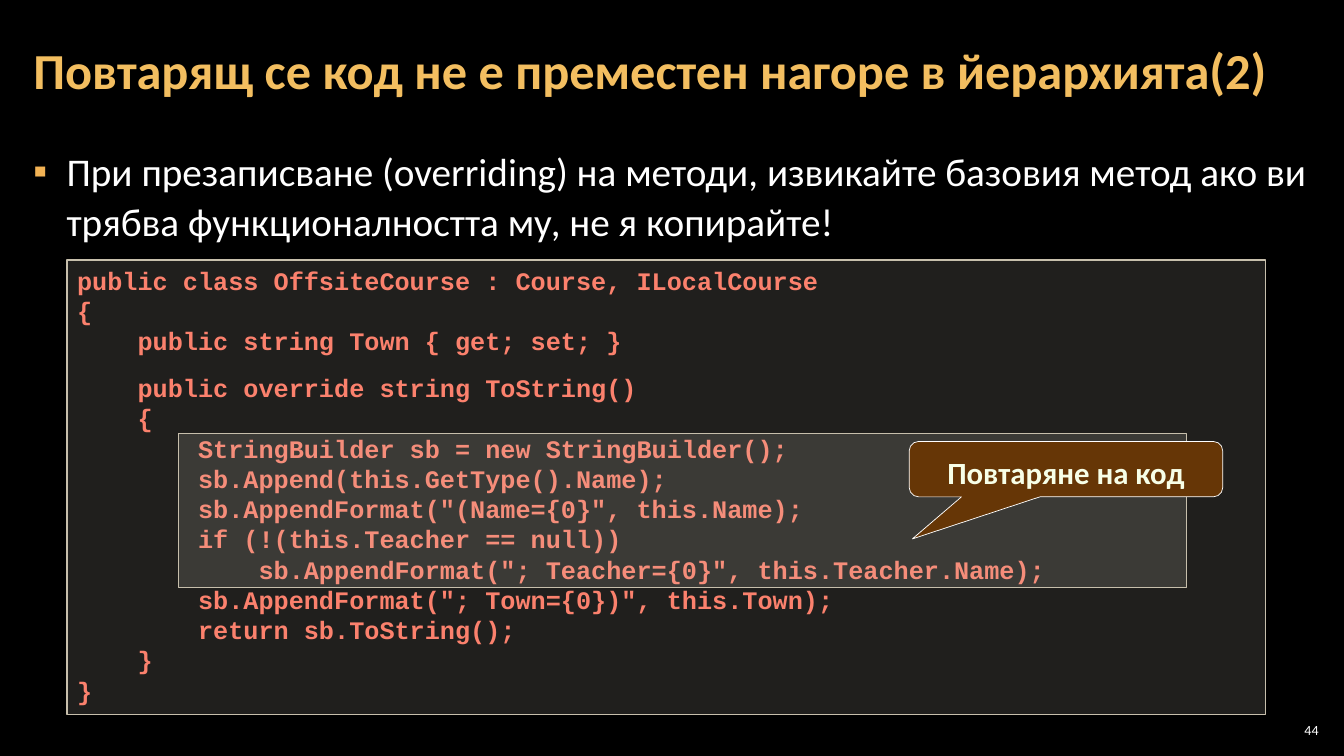
from lxml.etree import SubElement
from pptx import Presentation
from pptx.dml.color import RGBColor
from pptx.enum.shapes import MSO_SHAPE
from pptx.enum.text import MSO_ANCHOR, MSO_AUTO_SIZE, PP_ALIGN
from pptx.oxml.ns import qn
from pptx.util import Inches, Pt

WIDTH, HEIGHT = Inches(13.333), Inches(7.5)
HEADING = "F3BE60"
WHITE = "FFFFFF"
PANEL = "D9D5C7"
PANEL_EDGE = "C7BFAC"

CODE = '''public class OffsiteCourse : Course, ILocalCourse
{
    public string Town { get; set; }
    public override string ToString()
    {
        StringBuilder sb = new StringBuilder();
        sb.Append(this.GetType().Name);
        sb.AppendFormat("(Name={0}", this.Name);
        if (!(this.Teacher == null))
            sb.AppendFormat("; Teacher={0}", this.Teacher.Name);
        sb.AppendFormat("; Town={0})", this.Town);
        return sb.ToString();
    }
}'''


def rgb(value):
    return RGBColor.from_string(value)


def area(left, top, width, height):
    return (int(WIDTH * left / 100), int(HEIGHT * top / 100),
            int(WIDTH * width / 100), int(HEIGHT * height / 100))


def move(placeholder, left, top, width, height):
    placeholder.left, placeholder.top, placeholder.width, placeholder.height = area(
        left, top, width, height)
    return placeholder


def add_bullet(paragraph, symbol, color, indent):
    properties = paragraph._p.get_or_add_pPr()
    properties.set("marL", str(Inches(indent)))
    properties.set("indent", str(-Inches(indent)))
    bullet_color = SubElement(properties, qn("a:buClr"))
    SubElement(bullet_color, qn("a:srgbClr"), val=color)
    SubElement(properties, qn("a:buFont"), typeface="Wingdings")
    properties[-1].set("typeface", "Calibri")
    SubElement(properties, qn("a:buChar"), char=symbol)


def write(holder, text, size, color, font="Calibri", bold=False, align=PP_ALIGN.LEFT,
          anchor=MSO_ANCHOR.TOP, insets=(0.1, 0.05), fit=MSO_AUTO_SIZE.NONE,
          spacing=None, around=None, bullet=None):
    frame = holder.text_frame
    frame.word_wrap = True
    frame.auto_size = fit
    frame.vertical_anchor = anchor
    frame.margin_left = frame.margin_right = Inches(insets[0])
    frame.margin_top = frame.margin_bottom = Inches(insets[1])
    frame.text = text
    for paragraph in frame.paragraphs:
        if bullet:
            add_bullet(paragraph, *bullet)
        paragraph.alignment = align
        paragraph.line_spacing = spacing
        if around is not None:
            paragraph.space_before, paragraph.space_after = Pt(0), Pt(around)
        for run in paragraph.runs:
            run.font.name = font
            run.font.size = Pt(size)
            run.font.bold = bold
            run.font.color.rgb = rgb(color)
    return frame


def add_panel(slide, kind, place, fill, edge, edge_width, opacity=None):
    panel = slide.shapes.add_shape(kind, *area(*place))
    panel.shadow.inherit = False
    panel.fill.solid()
    panel.fill.fore_color.rgb = rgb(fill)
    if opacity:
        fill_color = panel.element.spPr.find(qn("a:solidFill"))[0]
        SubElement(fill_color, qn("a:alpha"), val=str(opacity * 1000))
    panel.line.color.rgb = rgb(edge)
    panel.line.width = Pt(edge_width)
    return panel


def main():
    deck = Presentation()
    deck.slide_width, deck.slide_height = WIDTH, HEIGHT
    slide = deck.slides.add_slide(deck.slide_layouts[1])
    slide.background.fill.solid()
    slide.background.fill.fore_color.rgb = rgb("000000")

    title = move(slide.shapes.title, 1.58, 0.53, 96.82, 18.27)
    write(title, "Повтарящ се код не е преместен нагоре в йерархията(2)", 36, HEADING,
          bold=True, anchor=MSO_ANCHOR.MIDDLE, insets=(0.12, 0.04), spacing=0.9)

    advice = move(slide.placeholders[1], 1.58, 18.67, 96.82, 76.53)
    write(advice, "При презаписване (overriding) на методи, извикайте базовия метод ако ви "
          "трябва функционалността му, не я копирайте!", 28, WHITE,
          insets=(0.12, 0.04), spacing=1.05, around=6, bullet=("▪", "F2B254", 0.33))

    page_number = slide.shapes.add_textbox(*area(94.88, 95.2, 3.53, 2.8))
    write(page_number, "44", 10, WHITE, align=PP_ALIGN.RIGHT,
          anchor=MSO_ANCHOR.MIDDLE, insets=(0.04, 0.04))

    listing = add_panel(slide, MSO_SHAPE.RECTANGLE, (5, 34.4, 89.18, 60.13),
                        PANEL, PANEL_EDGE, 1, opacity=15)
    code = write(listing, CODE, 18, "FB816D", font="Courier New", bold=True,
                 fit=MSO_AUTO_SIZE.SHAPE_TO_FIT_TEXT)
    code.paragraphs[3].space_before = Pt(12)

    add_panel(slide, MSO_SHAPE.RECTANGLE, (13.28, 57.33, 75, 20.4),
              PANEL, PANEL_EDGE, 1, opacity=15)

    callout = add_panel(slide, MSO_SHAPE.ROUNDED_RECTANGULAR_CALLOUT,
                        (67.65, 58.4, 23.33, 7.33), "663606", WHITE, 0.5)
    for index, adjustment in enumerate((-0.49, 1.26, 0.17)):
        callout.adjustments[index] = adjustment
    write(callout, "Повтаряне на код", 22, "F7FFE7", bold=True, align=PP_ALIGN.CENTER,
          fit=MSO_AUTO_SIZE.SHAPE_TO_FIT_TEXT, spacing=Pt(30))

    deck.save("out.pptx")


if __name__ == "__main__":
    main()
